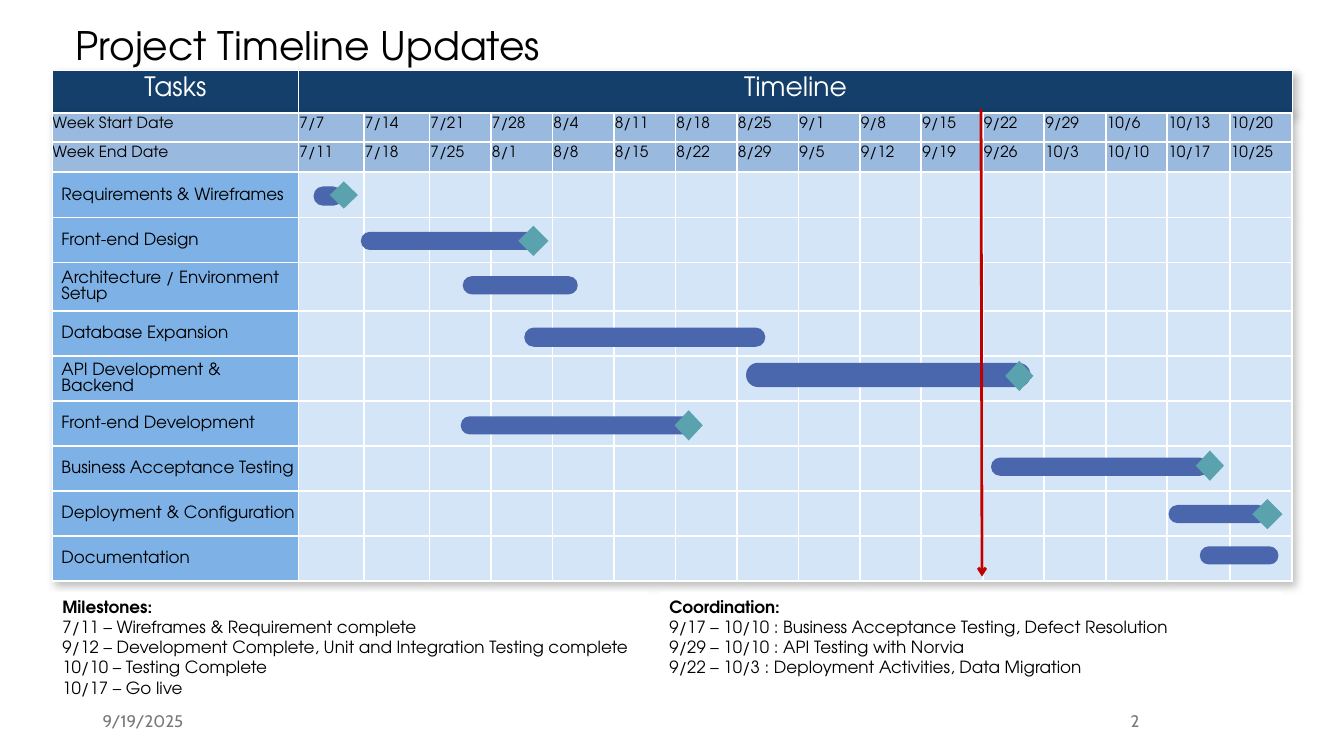
from lxml.etree import SubElement
from pptx import Presentation
from pptx.dml.color import RGBColor
from pptx.enum.shapes import MSO_CONNECTOR as Connector, MSO_SHAPE as Shape
from pptx.enum.text import MSO_ANCHOR as Anchor, MSO_AUTO_SIZE as AutoSize, PP_ALIGN as Align
from pptx.oxml import parse_xml
from pptx.oxml.ns import nsdecls, qn
from pptx.util import Inches, Pt

BLACK = RGBColor(0x00, 0x00, 0x00)
WHITE = RGBColor(0xFF, 0xFF, 0xFF)
GREY = RGBColor(0x79, 0x79, 0x79)
NAVY = RGBColor(0x14, 0x3F, 0x6A)
WEEK_BLUE = RGBColor(0x9A, 0xB9, 0xDE)
TASK_BLUE = RGBColor(0x7E, 0xB2, 0xE6)
GRID_BLUE = RGBColor(0xD4, 0xE5, 0xF7)
BAR_BLUE = RGBColor(0x4A, 0x66, 0xAC)
TEAL = RGBColor(0x5A, 0xA2, 0xAE)
RED = RGBColor(0xC0, 0x00, 0x00)
MAIN_FONT = "TeX Gyre Adventor"
FOOTER_FONT = "Cabin"

TASK_WIDTH = 2.44
WEEK_WIDTHS = [0.65] * 2 + [0.61] * 12 + [0.62] * 2
SCHEDULE_HEIGHT = 4.65
TASK_HEIGHT = (SCHEDULE_HEIGHT - 0.29 - 0.3 - 0.48) / 8
ROW_HEIGHTS = [0.29, 0.3] + [TASK_HEIGHT] * 2 + [0.48] + [TASK_HEIGHT] * 6
WEEK_ROWS = [
    ["Week Start Date"] + "7/7 7/14 7/21 7/28 8/4 8/11 8/18 8/25 9/1 9/8 9/15 9/22 9/29 10/6 10/13 10/20".split(),
    ["Week End Date"] + "7/11 7/18 7/25 8/1 8/8 8/15 8/22 8/29 9/5 9/12 9/19 9/26 10/3 10/10 10/17 10/25".split(),
]
TASKS = [
    ("Requirements & Wireframes", (2.59, 0.73, 0.29, 0.19), (2.75, 0.68, 0.28, 0.27)),
    ("Front-end Design", (3.06, 1.18, 1.73, 0.18), (4.62, 1.12, 0.3, 0.3)),
    ("Architecture / Environment Setup", (4.07, 1.62, 1.14, 0.18), None),
    ("Database Expansion", (4.68, 2.13, 2.39, 0.19), None),
    ("API Development & Backend", (6.88, 2.48, 2.82, 0.24), (9.45, 2.46, 0.28, 0.3)),
    ("Front-end Development", (4.05, 3.01, 2.3, 0.18), (6.17, 2.95, 0.28, 0.3)),
    ("Business Acceptance Testing", (9.31, 3.42, 2.16, 0.18), (11.34, 3.35, 0.28, 0.3)),
    ("Deployment & Configuration", (11.07, 3.89, 0.98, 0.18), (11.9, 3.83, 0.3, 0.3)),
    ("Documentation", (11.38, 4.3, 0.78, 0.18), None),
]
MILESTONES = [
    "Milestones:",
    "7/11 – Wireframes & Requirement complete",
    "9/12 – Development Complete, Unit and Integration Testing complete",
    "10/10 – Testing Complete",
    "10/17 – Go live",
]
COORDINATION = [
    "Coordination:",
    "9/17 – 10/10 : Business Acceptance Testing, Defect Resolution",
    "9/29 – 10/10 : API Testing with Norvia",
    "9/22 – 10/3 : Deployment Activities, Data Migration",
]


def inches(box):
    return [Inches(length) for length in box]


def style_font(para, size, color, name=MAIN_FONT, bold=False):
    para.font.size = Pt(size)
    para.font.name = name
    para.font.color.rgb = color
    para.font.bold = bold


def add_title(page, box, text):
    title = page.shapes.title
    title.left, title.top, title.width, title.height = inches(box)
    frame = title.text_frame
    frame.text = text
    frame.auto_size = AutoSize.NONE
    frame.vertical_anchor = Anchor.MIDDLE
    para = frame.paragraphs[0]
    para.alignment = Align.LEFT
    para.line_spacing = 0.9
    style_font(para, 28, BLACK)


def add_footer(page, box, text, align):
    frame = page.shapes.add_textbox(*inches(box)).text_frame
    frame.word_wrap = True
    frame.vertical_anchor = Anchor.MIDDLE
    para = frame.paragraphs[0]
    para.text = text
    para.alignment = align
    style_font(para, 12, GREY, FOOTER_FONT)


def add_grid(page, left, top, widths, heights):
    box = inches((left, top, sum(widths), sum(heights)))
    table = page.shapes.add_table(len(heights), len(widths), *box).table
    table.first_row = table.horz_banding = False
    for column, width in zip(table.columns, widths):
        column.width = Inches(width)
    for row, height in zip(table.rows, heights):
        row.height = Inches(height)
    table._tbl.tblPr.insert(0, parse_xml(
        f'<a:effectLst {nsdecls("a")}><a:outerShdw blurRad="76200" dist="38100" dir="2700000">'
        '<a:prstClr val="black"><a:alpha val="25000"/></a:prstClr></a:outerShdw></a:effectLst>'))
    return table


def fill_cell(cell, text, fill, size, margins, color=BLACK, align=Align.LEFT, anchor=Anchor.TOP):
    cell.text = text
    cell.fill.solid()
    cell.fill.fore_color.rgb = fill
    cell.vertical_anchor = anchor
    cell.margin_left, cell.margin_top, cell.margin_right, cell.margin_bottom = inches(margins)
    para = cell.text_frame.paragraphs[0]
    para.alignment = align
    style_font(para, size, color)
    for index, side in enumerate("LRTB"):
        cell._tc.tcPr.insert(index, parse_xml(
            f'<a:ln{side} {nsdecls("a")} w="{Pt(1.5)}"><a:solidFill>'
            f'<a:srgbClr val="{WHITE}"/></a:solidFill></a:ln{side}>'))


def add_header(page, left, top):
    table = add_grid(page, left, top, [TASK_WIDTH, sum(WEEK_WIDTHS)], [0.42])
    for cell, text in zip(table.rows[0].cells, ["Tasks", "Timeline"]):
        fill_cell(cell, text, NAVY, 19, (0.11, 0.06, 0.11, 0.03), WHITE, Align.CENTER)


def add_mark(page, kind, box, color):
    mark = page.shapes.add_shape(kind, *inches(box))
    mark.shadow.inherit = False
    mark.fill.solid()
    mark.fill.fore_color.rgb = color
    mark.line.fill.background()
    return mark


def add_schedule(page, left, top):
    table = add_grid(page, left, top, [TASK_WIDTH] + WEEK_WIDTHS, ROW_HEIGHTS)
    for row, texts in zip(table.rows, WEEK_ROWS):
        for index, (cell, text) in enumerate(zip(row.cells, texts)):
            side = 0.01 if index else 0
            fill_cell(cell, text, WEEK_BLUE, 11, (side, 0.04, side, 0))
    for row_index, (task, _, _) in enumerate(TASKS, len(WEEK_ROWS)):
        for index, cell in enumerate(table.rows[row_index].cells):
            fill_cell(cell, "" if index else task, GRID_BLUE if index else TASK_BLUE, 12,
                      (0.09, 0.01, 0.01, 0), anchor=Anchor.MIDDLE)
    for _, (x, y, width, height), milestone in TASKS:
        bar = add_mark(page, Shape.ROUNDED_RECTANGLE, (left + x, top + y, width, height), BAR_BLUE)
        bar.adjustments[0] = 0.49
        if milestone:
            x, y, width, height = milestone
            add_mark(page, Shape.FLOWCHART_DECISION, (left + x, top + y, width, height), TEAL)


def add_today_line(page, start, end):
    line = page.shapes.add_connector(Connector.STRAIGHT, *inches(start + end))
    line.line.color.rgb = RED
    line.line.width = Pt(2)
    SubElement(line.line._get_or_add_ln(), qn("a:tailEnd"), type="arrow")
    SubElement(line._element.spPr, qn("a:effectLst"))


def add_notes_box(page, box, lines):
    panel = add_mark(page, Shape.RECTANGLE, box, WHITE)
    frame = panel.text_frame
    frame.word_wrap = True
    frame.vertical_anchor = Anchor.TOP
    frame.text = "\n".join(lines)
    for index, para in enumerate(frame.paragraphs):
        para.alignment = Align.LEFT
        style_font(para, 12, BLACK, bold=index == 0)


def main():
    deck = Presentation()
    deck.slide_width, deck.slide_height = Inches(13.33), Inches(7.5)
    page = deck.slides.add_slide(deck.slide_layouts[5])
    add_title(page, (0.65, 0.21, 11.5, 0.53), "Project Timeline Updates")
    add_footer(page, (0.92, 6.95, 3, 0.4), "9/19/2025", Align.LEFT)
    add_footer(page, (9.42, 6.95, 1.98, 0.4), "2", Align.RIGHT)
    add_header(page, 0.52, 0.7)
    add_schedule(page, 0.52, 1.12)
    add_notes_box(page, (0.52, 5.87, 5.92, 1.11), MILESTONES)
    add_today_line(page, (9.73, 1.08), (9.74, 5.72))
    add_notes_box(page, (6.54, 5.87, 6.18, 1.11), COORDINATION)
    deck.save("out.pptx")


if __name__ == "__main__":
    main()
